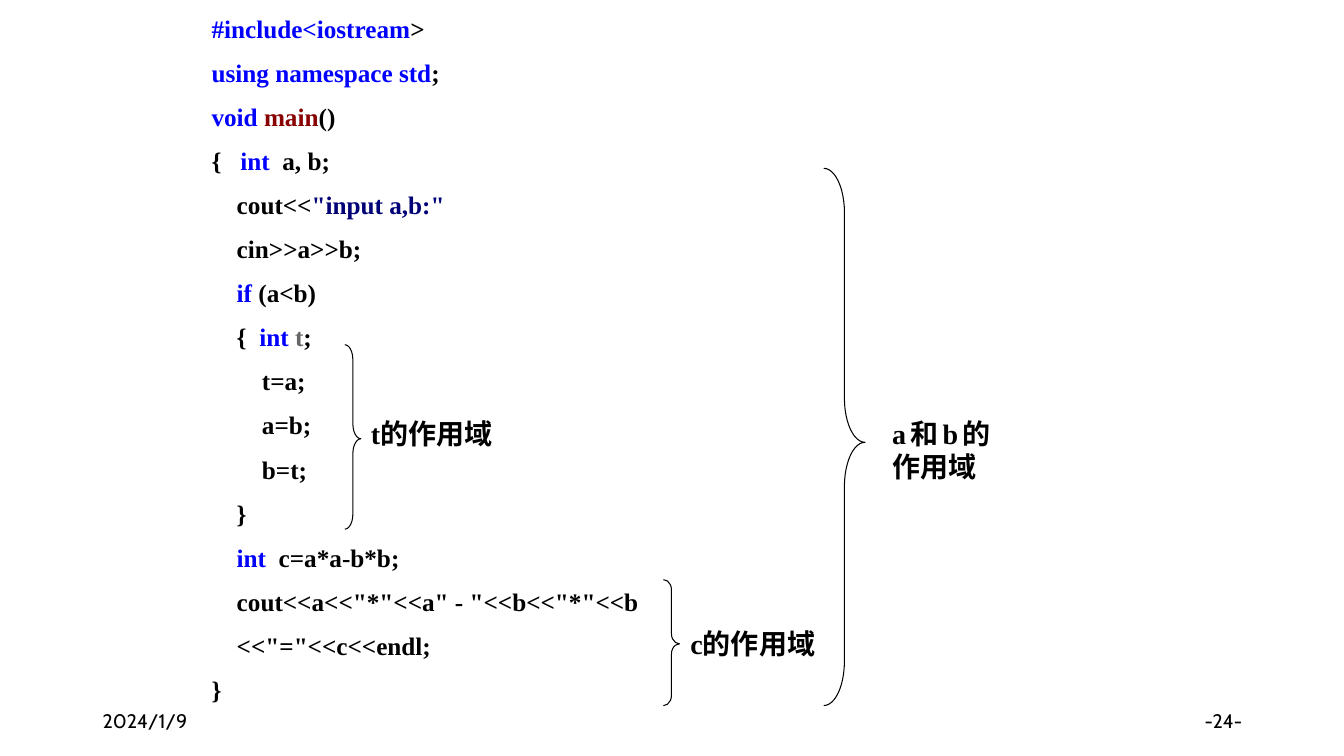
from dataclasses import dataclass

from pptx import Presentation
from pptx.dml.color import RGBColor
from pptx.enum.shapes import MSO_SHAPE
from pptx.enum.text import MSO_ANCHOR, PP_ALIGN
from pptx.util import Inches, Pt


@dataclass(frozen=True)
class Theme:
    plain: str = "000000"
    keyword: str = "0000FF"
    function: str = "880000"
    string: str = "000077"
    variable: str = "666666"
    serif: str = "Times New Roman"
    sans: str = "Cabin"
    footer_size: float = 14
    code_size: float = 18
    label_size: float = 20
    code_gap: float = 9.9
    brace_width: float = 0.75
    indent: float = 0.25


T = Theme()

# Each line: indent level, then (text, colour) runs
CODE = [
    (0, ("#include<iostream", T.keyword), (">", T.plain)),
    (0, ("using namespace std", T.keyword), (";", T.plain)),
    (0, ("void ", T.keyword), ("main", T.function), ("()", T.plain)),
    (0, ("{   ", T.plain), ("int", T.keyword), ("  a, b;", T.plain)),
    (1, ("cout<<", T.plain), ('"input a,b:"', T.string)),
    (1, ("cin>>a>>b;", T.plain)),
    (1, ("if", T.keyword), (" (a<b)", T.plain)),
    (1, ("{  ", T.plain), ("int ", T.keyword), ("t", T.variable), (";", T.plain)),
    (2, ("t=a;", T.plain)),
    (2, ("a=b;", T.plain)),
    (2, ("b=t;", T.plain)),
    (1, ("}", T.plain)),
    (1, ("int", T.keyword), ("  c=a*a-b*b;", T.plain)),
    (1, ('cout<<a<<"*"<<a" - "<<b<<"*"<<b', T.plain)),
    (1, ('<<"="<<c<<endl;', T.plain)),
    (0, ("}", T.plain)),
]

# Each scope: brace box, brace curl, label, label box
SCOPES = [
    ((3.42, 3.42, 0.16, 1.83), 0.93, "t的作用域", (3.58, 4.08, 1.42, 0.5)),
    ((6.58, 5.75, 0.16, 1.25), 0.63, "c的作用域", (6.75, 6.17, 1.5, 0.5)),
    ((8.17, 1.67, 0.41, 5.33), 1.07, "a和b的作用域", (8.75, 4.08, 1.17, 1)),
]


def add_run(p, text, size, font=T.serif, color=T.plain, bold=True):
    r = p.add_run()
    r.text = text
    r.font.size = Pt(size)
    r.font.name = font
    r.font.bold = bold
    r.font.color.rgb = RGBColor.from_string(color)


class SlideBuilder:
    def __init__(self, slide, theme):
        self.s = slide
        self.theme = theme

    def text_frame(self, box, anchor=MSO_ANCHOR.TOP):
        tf = self.s.shapes.add_textbox(*map(Inches, box)).text_frame
        tf.word_wrap = True
        tf.vertical_anchor = anchor
        return tf

    def footer(self, text, left, align):
        p = self.text_frame((left, 6.95, 3, 0.4), MSO_ANCHOR.MIDDLE).paragraphs[0]
        p.alignment = align
        add_run(p, text, self.theme.footer_size, font=self.theme.sans, bold=False)

    def code(self, lines, box):
        tf = self.text_frame(box)
        for i, (level, *runs) in enumerate(lines):
            p = tf.paragraphs[0] if i == 0 else tf.add_paragraph()
            p.space_before = Pt(self.theme.code_gap)
            p._p.get_or_add_pPr().set("marL", str(Inches(level * self.theme.indent)))
            for text, color in runs:
                add_run(p, text, self.theme.code_size, color=color)

    def brace(self, box, curl):
        sp = self.s.shapes.add_shape(MSO_SHAPE.RIGHT_BRACE, *map(Inches, box))
        sp.shadow.inherit = False
        sp.adjustments[0] = curl
        sp.adjustments[1] = 0.51
        sp.fill.background()
        sp.line.color.rgb = RGBColor.from_string(self.theme.plain)
        sp.line.width = Pt(self.theme.brace_width)

    def label(self, text, box):
        p = self.text_frame(box).paragraphs[0]
        p.alignment = PP_ALIGN.JUSTIFY
        add_run(p, text, self.theme.label_size)


def main():
    prs = Presentation()
    prs.slide_width, prs.slide_height = Inches(13.33), Inches(7.5)
    blank = prs.slide_layouts.get_by_name("Blank")
    page = SlideBuilder(prs.slides.add_slide(blank), T)

    page.footer("2024/1/9", 0.92, PP_ALIGN.LEFT)
    page.footer("-24-", 9.42, PP_ALIGN.RIGHT)
    page.code(CODE, (2, 0.08, 9.33, 7.17))
    for brace_box, curl, text, label_box in SCOPES:
        page.brace(brace_box, curl)
        page.label(text, label_box)

    prs.save("out.pptx")


if __name__ == "__main__":
    main()
